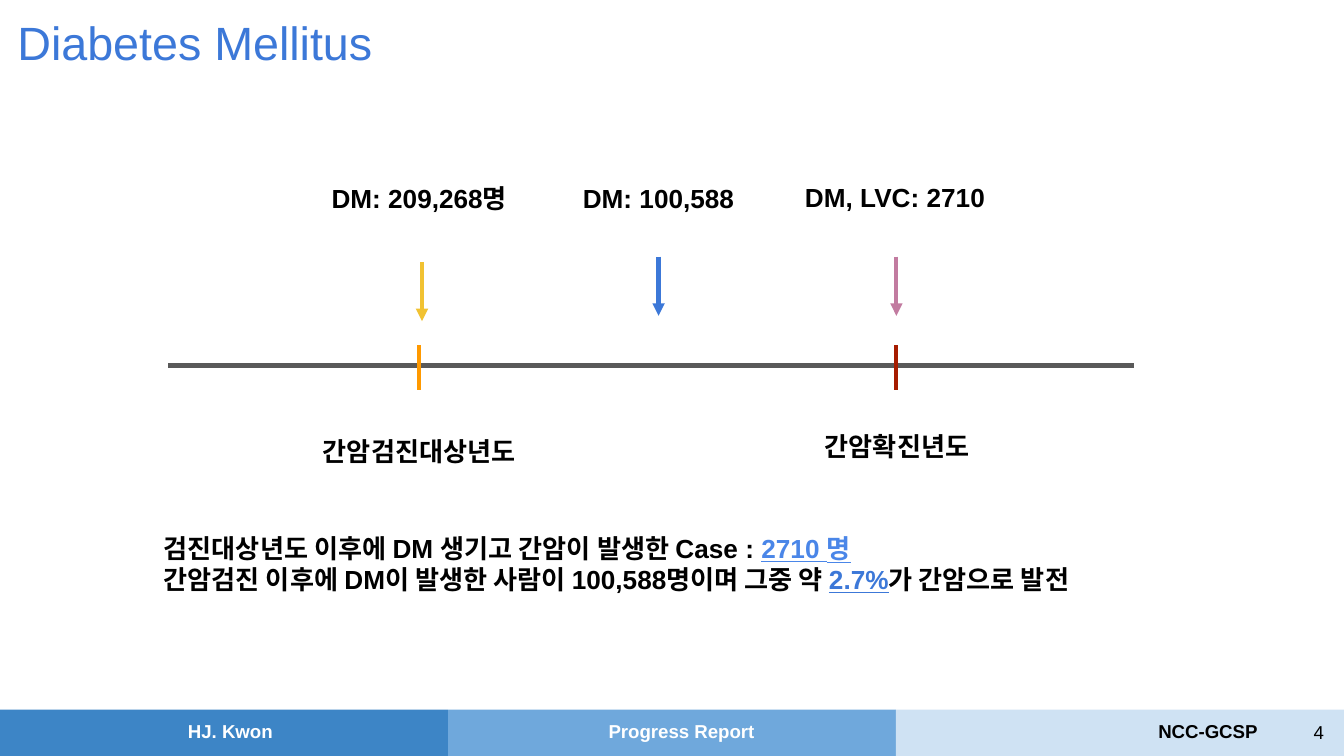
from dataclasses import dataclass

from lxml import etree
from pptx import Presentation
from pptx.dml.color import RGBColor
from pptx.enum import shapes, text
from pptx.oxml import ns
from pptx.util import Inches, Pt


@dataclass(frozen=True)
class Theme:
    font: str = "Arial"
    title_size: int = 25
    body_size: int = 14
    footer_size: int = 10
    line_width: float = 2.25
    black: str = "000000"
    white: str = "FFFFFF"
    blue: str = "3C78D8"
    case_blue: str = "4A86E8"
    axis: str = "595959"
    screening: str = "FF9900"
    diagnosis: str = "A61C00"
    yellow: str = "F1C232"
    mauve: str = "C27BA0"
    footer: tuple = ("3D85C6", "6FA8DC", "CFE2F3")


THEME = Theme()
CENTER = text.PP_ALIGN.CENTER
LEFT = text.PP_ALIGN.LEFT
RIGHT = text.PP_ALIGN.RIGHT


def add_band(page, left, top, width, height, color):
    band = page.shapes.add_shape(
        shapes.MSO_SHAPE.RECTANGLE,
        Inches(left), Inches(top), Inches(width), Inches(height))
    band.shadow.inherit = False
    band.fill.solid()
    band.fill.fore_color.rgb = RGBColor.from_string(color)
    band.line.fill.background()


def add_text(page, place, paragraphs, size, align=LEFT, bold=True,
             anchor=text.MSO_ANCHOR.TOP):
    """Each paragraph is a list of (words, color, underlined) runs."""
    box = page.shapes.add_textbox(*(Inches(length) for length in place))
    frame = box.text_frame
    frame.word_wrap = True
    frame.vertical_anchor = anchor
    frame.margin_left = frame.margin_right = Inches(0.1)
    frame.margin_top = frame.margin_bottom = Inches(0.1)
    for index, runs in enumerate(paragraphs):
        para = frame.add_paragraph() if index else frame.paragraphs[0]
        para.alignment = align
        for words, color, underlined in runs:
            span = para.add_run()
            span.text = words
            span.font.name = THEME.font
            span.font.size = Pt(size)
            span.font.bold = bold
            span.font.underline = underlined
            span.font.color.rgb = RGBColor.from_string(color)


def add_label(page, place, words, size=THEME.body_size, color=THEME.black, **options):
    add_text(page, place, [[(words, color, False)]], size, **options)


def add_line(page, start, end, color, arrow=False):
    points = [Inches(length) for length in (*start, *end)]
    line = page.shapes.add_connector(shapes.MSO_CONNECTOR.STRAIGHT, *points)
    line.line.width = Pt(THEME.line_width)
    line.line.color.rgb = RGBColor.from_string(color)
    if arrow:
        outline = line.line._get_or_add_ln()
        etree.SubElement(outline, ns.qn("a:tailEnd"), type="triangle")
    etree.SubElement(line._element.spPr, ns.qn("a:effectLst"))


def add_footer(page):
    third = 10 / 3
    for index, color in enumerate(THEME.footer):
        add_band(page, index * third, 5.28, third, 0.35, color)
    for left, width, words, color in (
            (1.3, 1.29, "HJ. Kwon", THEME.white),
            (4.43, 1.29, "Progress Report", THEME.white),
            (8.52, 1, "NCC-GCSP", THEME.black)):
        add_label(page, (left, 5.27, width, 0.37), words,
                  THEME.footer_size, color)
    add_label(page, (9.35, 5.23, 0.6, 0.43), "4", THEME.footer_size,
              align=RIGHT, bold=False, anchor=text.MSO_ANCHOR.MIDDLE)


def add_timeline(page):
    add_line(page, (1.25, 2.72), (8.44, 2.72), THEME.axis)
    for x, color in ((3.12, THEME.screening), (6.67, THEME.diagnosis)):
        add_line(page, (x, 2.57), (x, 2.9), color)
    for x, top, color in ((3.14, 1.95, THEME.yellow),
                          (4.9, 1.91, THEME.blue),
                          (6.67, 1.91, THEME.mauve)):
        add_line(page, (x, top), (x, top + 0.44), color, arrow=True)
    for left, top, width, words in (
            (2.22, 1.26, 1.8, "DM: 209,268명"),
            (4, 1.26, 1.8, "DM: 100,588"),
            (5.76, 1.25, 1.8, "DM, LVC: 2710"),
            (2.22, 3.14, 1.8, "간암검진대상년도"),
            (5.95, 3.1, 1.45, "간암확진년도")):
        add_label(page, (left, top, width, 0.44), words, align=CENTER)


def add_findings(page):
    add_text(page, (1.12, 3.86, 7.57, 0.91), [
        [("검진대상년도 이후에 DM 생기고 간암이 발생한 Case : ", THEME.black, False),
         ("2710 명", THEME.case_blue, True)],
        [("간암검진 이후에 DM이 발생한 사람이 100,588명이며 그중 약 ", THEME.black, False),
         ("2.7%", THEME.blue, True),
         ("가 간암으로 발전", THEME.black, False)],
    ], THEME.body_size)


def main():
    deck = Presentation()
    deck.slide_width = Inches(10)
    deck.slide_height = Inches(5.625)
    page = deck.slides.add_slide(deck.slide_layouts[6])
    add_footer(page)
    add_label(page, (-0.02, 0, 2.94, 0.62), "Diabetes Mellitus",
              THEME.title_size, THEME.blue, align=CENTER, bold=False)
    add_timeline(page)
    add_findings(page)
    deck.save("out.pptx")


if __name__ == "__main__":
    main()
